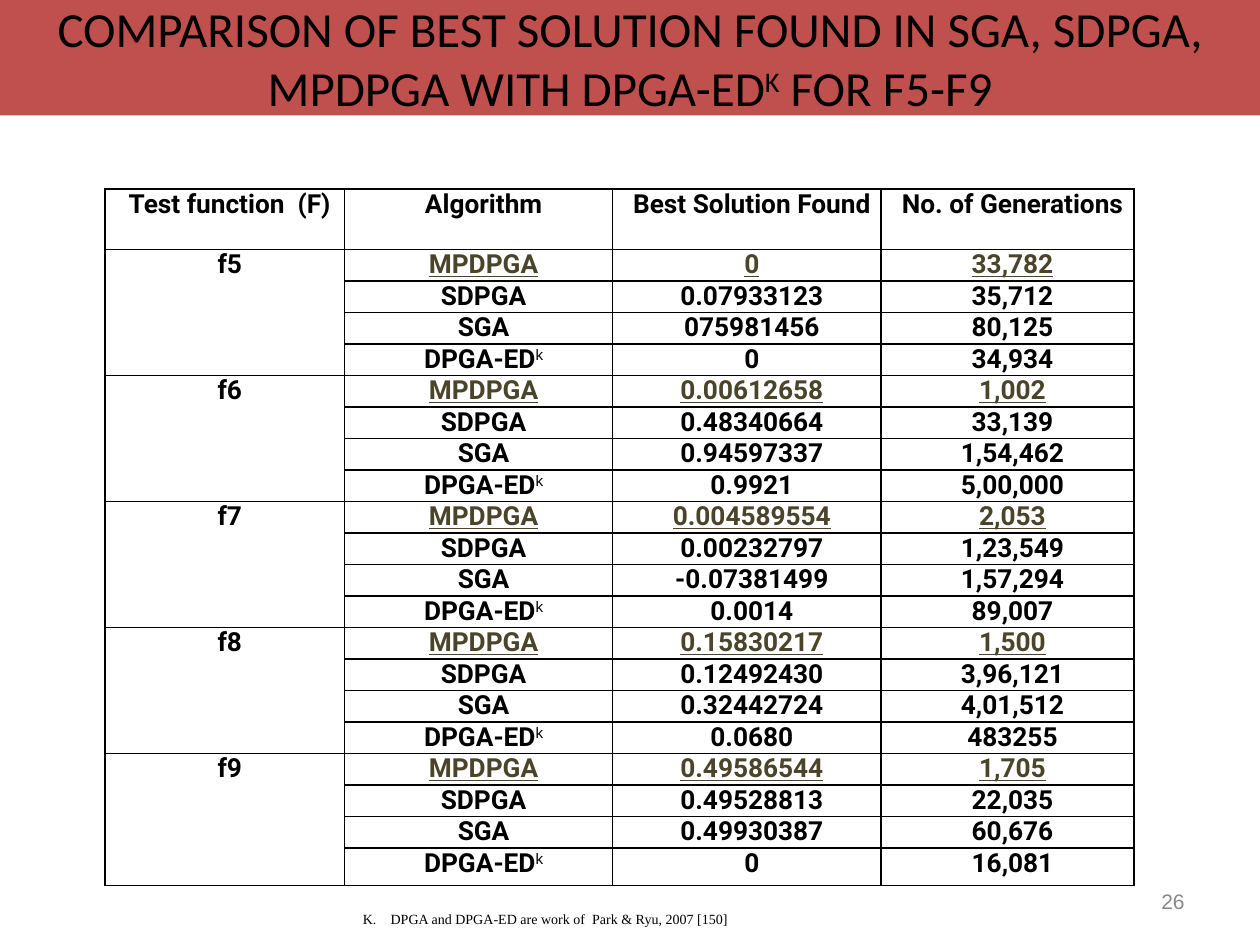
from collections import namedtuple
from dataclasses import dataclass

from lxml.etree import SubElement
from pptx import Presentation
from pptx.dml.color import RGBColor
from pptx.enum.text import MSO_ANCHOR, MSO_AUTO_SIZE, PP_ALIGN
from pptx.oxml import parse_xml
from pptx.oxml.ns import nsdecls, qn
from pptx.util import Inches, Pt

Box = namedtuple("Box", "left top width height")
UNITS_PER_INCH = 12
NO_STYLE = "{2D5ABB26-0587-4C30-8999-92F81FD0307C}"


@dataclass(frozen=True)
class Theme:
    """Colours, fonts and type sizes of the slide."""
    band: RGBColor = RGBColor(0xC0, 0x50, 0x4D)
    ink: RGBColor = RGBColor(0, 0, 0)
    best: RGBColor = RGBColor(0x4A, 0x45, 0x2A)
    muted: RGBColor = RGBColor(0x89, 0x89, 0x89)
    title_font: str = "Calibri"
    table_font: str = "Roboto"
    plain_font: str = "Arial"
    note_font: str = "Times New Roman"
    title_size: int = 28
    table_size: int = 15
    number_size: int = 12
    note_size: int = 8


THEME = Theme()
TITLE = (
    "COMPARISON OF BEST SOLUTION FOUND IN SGA, SDPGA, MPDPGA WITH DPGA-ED",
    "K",
    " FOR F5-F9",
)
HEADERS = ("Test function  (F)", "Algorithm", "Best Solution Found", "No. of Generations")
ALGORITHMS = ("MPDPGA", "SDPGA", "SGA", "DPGA-ED")
RESULTS = {
    "f5": (("0", "33,782"), ("0.07933123", "35,712"),
           ("075981456", "80,125"), ("0", "34,934")),
    "f6": (("0.00612658", "1,002"), ("0.48340664", "33,139"),
           ("0.94597337", "1,54,462"), ("0.9921", "5,00,000")),
    "f7": (("0.004589554", "2,053"), ("0.00232797", "1,23,549"),
           ("-0.07381499", "1,57,294"), ("0.0014", "89,007")),
    "f8": (("0.15830217", "1,500"), ("0.12492430", "3,96,121"),
           ("0.32442724", "4,01,512"), ("0.0680", "483255")),
    "f9": (("0.49586544", "1,705"), ("0.49528813", "22,035"),
           ("0.49930387", "60,676"), ("0", "16,081")),
}
COLUMNS = (22.8, 25.55, 25.55, 24.1)
HEADER_ROW, BODY_ROW, LAST_ROW = 5.75, 3, 3.6


def units(n):
    """Turn grid units into a length."""
    return Inches(n / UNITS_PER_INCH)


def set_attrs(obj, values):
    """Set each named value on an object."""
    for name, value in values.items():
        setattr(obj, name, value)


def place(sp, box):
    """Move and size a shape to a box."""
    set_attrs(sp, {name: units(n) for name, n in box._asdict().items()})


def add_run(p, text, font, size, color=THEME.ink, raised=False, **extra):
    """Add a formatted run, raised as a superscript if asked."""
    r = p.add_run()
    r.text = text
    set_attrs(r.font, {"name": font, "size": Pt(size), **extra})
    r.font.color.rgb = color
    if raised:
        r._r.get_or_add_rPr().set("baseline", "30000")


def set_indent(p, margin, first):
    """Set the left margin and first-line indent of a paragraph."""
    pPr = p._p.get_or_add_pPr()
    pPr.set("marL", str(Inches(margin)))
    pPr.set("indent", str(Inches(first)))


def add_grid(s, box, rows, cols):
    """Add a table without a built-in style."""
    sp = s.shapes.add_table(rows, cols, *map(units, box))
    table = sp.table
    set_attrs(table, {"first_row": False, "horz_banding": False})
    table._tbl.tblPr.find(qn("a:tableStyleId")).text = NO_STYLE
    return table


def format_cell(cell, inset_x, inset_y, bordered):
    """Clear the fill of a cell and set its insets and borders."""
    set_attrs(cell, {"margin_left": Inches(inset_x), "margin_right": Inches(inset_x),
                     "margin_top": Inches(inset_y), "margin_bottom": Inches(inset_y)})
    if bordered:
        tcPr = cell._tc.get_or_add_tcPr()
        for side in ("lnL", "lnR", "lnT", "lnB"):
            ln = SubElement(tcPr, qn(f"a:{side}"), w=str(Pt(1)))
            ln.append(parse_xml(f'<a:solidFill {nsdecls("a")}>'
                                f'<a:srgbClr val="{THEME.ink}"/></a:solidFill>'))
    cell.fill.background()


def write_cell(cell, text, **extra):
    """Write centred bold text in a results cell."""
    p = cell.text_frame.paragraphs[0]
    p.alignment = PP_ALIGN.CENTER
    set_indent(p, 0, 0.08)
    add_run(p, text, THEME.table_font, THEME.table_size, bold=True, **extra)
    return p


def add_title(s, box):
    """Fill the title band across the top."""
    sp = s.shapes.title
    place(sp, box)
    sp.fill.solid()
    sp.fill.fore_color.rgb = THEME.band
    tf = sp.text_frame
    set_attrs(tf, {"word_wrap": True, "auto_size": MSO_AUTO_SIZE.NONE,
                   "vertical_anchor": MSO_ANCHOR.MIDDLE})
    p = tf.paragraphs[0]
    p.alignment = PP_ALIGN.CENTER
    for text in TITLE:
        add_run(p, text, THEME.title_font, THEME.title_size, raised=text == "K")


def add_results(s, box):
    """Add the results table, one merged block per test function."""
    block = len(ALGORITHMS)
    count = 1 + block * len(RESULTS)
    table = add_grid(s, box, count, len(HEADERS))
    for col, width in zip(table.columns, COLUMNS):
        col.width = units(width)
    heights = [HEADER_ROW] + [BODY_ROW] * (count - 2) + [LAST_ROW]
    for row, height in zip(table.rows, heights):
        row.height = units(height)
    for cell in table.iter_cells():
        format_cell(cell, 0.07, 0, bordered=True)
    for c, text in enumerate(HEADERS):
        write_cell(table.cell(0, c), text)
    for b, (function, results) in enumerate(RESULTS.items()):
        top = 1 + b * block
        table.cell(top, 0).merge(table.cell(top + block - 1, 0))
        write_cell(table.cell(top, 0), function)
        for i, (algorithm, values) in enumerate(zip(ALGORITHMS, results)):
            extra = {"color": THEME.best, "underline": True} if i == 0 else {}
            for c, text in enumerate((algorithm, *values), start=1):
                p = write_cell(table.cell(top + i, c), text, **extra)
                if text == "DPGA-ED":
                    add_run(p, "k", THEME.plain_font, THEME.table_size, raised=True)


def add_footnote(s, box):
    """Add the one-cell footnote table."""
    cell = add_grid(s, box, 1, 1).cell(0, 0)
    format_cell(cell, 0.13, 0.13, bordered=False)
    p = cell.text_frame.paragraphs[0]
    set_indent(p, 0.22, -0.22)
    p.space_after = Pt(2)
    add_run(p, "K.\tDPGA and DPGA-ED are work of  Park & Ryu, 2007 [150]",
            THEME.note_font, THEME.note_size)


def add_page_number(s, box):
    """Add the page number at the lower right."""
    tf = s.shapes.add_textbox(*map(units, box)).text_frame
    set_attrs(tf, {"word_wrap": True, "vertical_anchor": MSO_ANCHOR.MIDDLE})
    p = tf.paragraphs[0]
    p.alignment = PP_ALIGN.RIGHT
    add_run(p, "26", THEME.plain_font, THEME.number_size, THEME.muted)


def main():
    """Build and save the slide."""
    prs = Presentation()
    set_attrs(prs, {"slide_width": units(120), "slide_height": units(90)})
    s = prs.slides.add_slide(prs.slide_layouts.get_by_name("Title Only"))
    add_title(s, Box(0, 0, 120, 11))
    add_results(s, Box(10, 18, 98, 66.35))
    add_footnote(s, Box(33, 85.3, 80, 4.7))
    add_page_number(s, Box(86, 83.4, 28, 4.8))
    prs.save("out.pptx")


if __name__ == "__main__":
    main()
